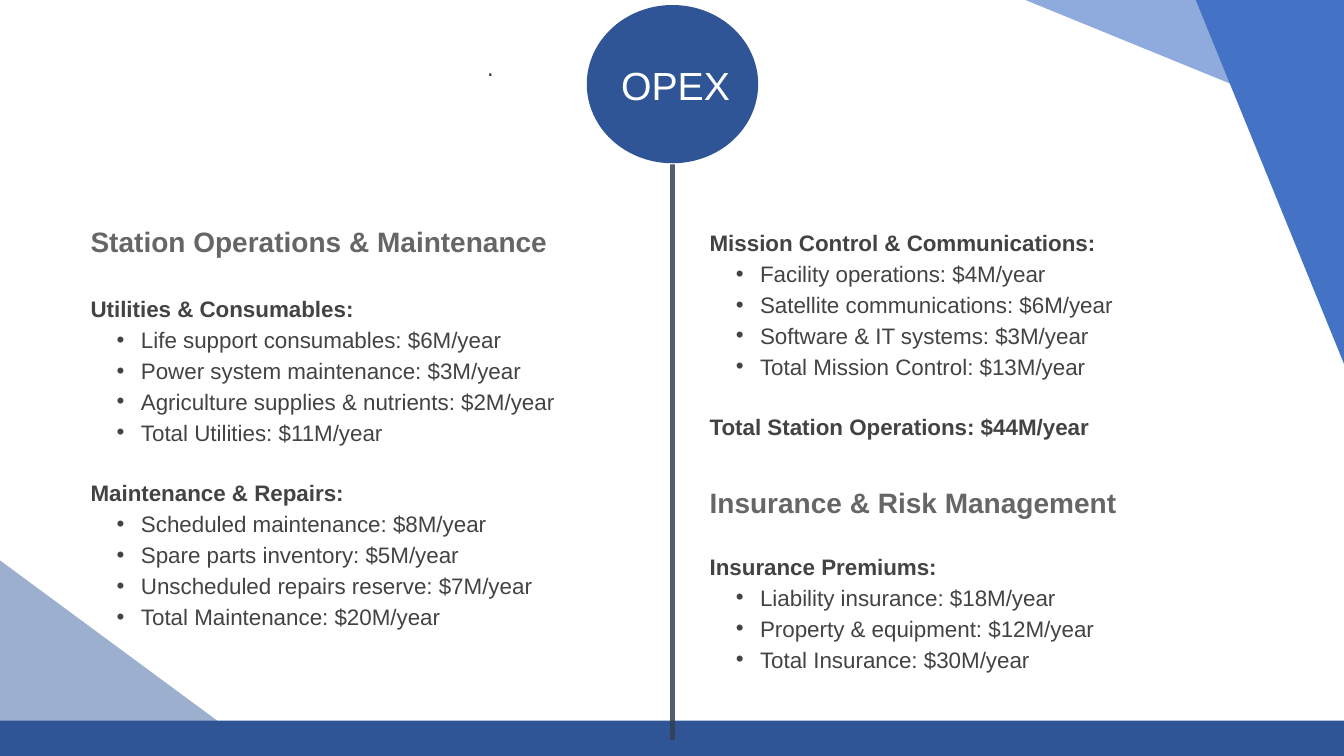
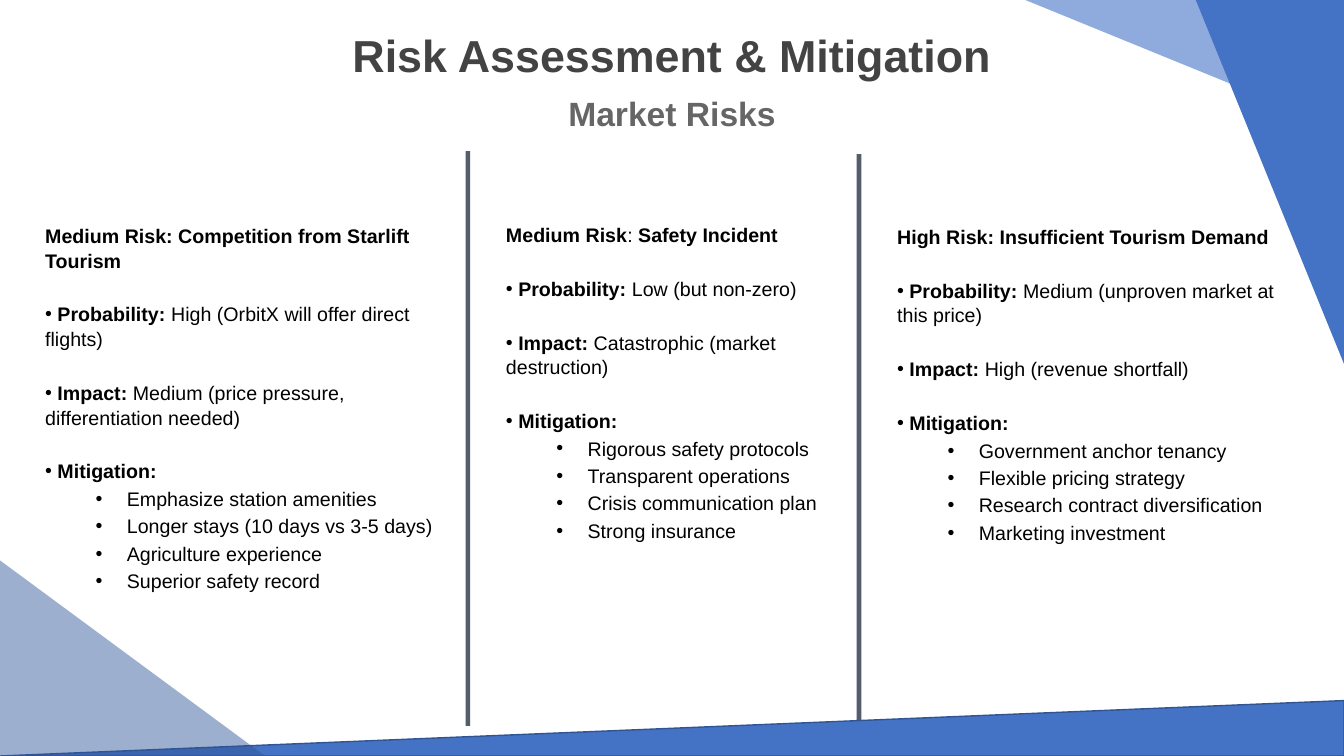
import pptx
import pptx.dml.color
import pptx.enum.shapes
import pptx.enum.text
import pptx.oxml
import pptx.oxml.ns
import pptx.util
from pptx.util import Inches

FONT = "Arial"
COLORS = {
    "navy": "2F5597",
    "blue": "4472C4",
    "sky": "8FAADC",
    "edge": "325491",
    "slate": "333F50",
    "heading": "434343",
    "muted": "666666",
    "black": "000000",
    "white": "FFFFFF",
}


def line_gap(size):
    """Space before, in points, that stands for one empty line of this size."""
    return 1.2 * size + 3


# "indent" is (left margin, first-line offset) in inches and adds a bullet
STYLES = {
    "section": {"size": 20, "color": "muted", "bold": True},
    "lead": {"size": 16, "color": "heading", "bold": True, "before": line_gap(18)},
    "group": {"size": 16, "color": "heading", "bold": True, "before": line_gap(16)},
    "cost": {"size": 16, "color": "heading", "bold": False, "indent": (0.5, -0.24)},
    "risk": {"size": 14, "color": "black", "bold": True},
    "fact": {"size": 14, "color": "black", "bold": True, "indent": (0, 0),
             "before": line_gap(14)},
    "action": {"size": 14, "color": "black", "bold": False, "indent": (0.81, -0.31)},
    "badge": {"size": 28, "color": "white", "bold": False, "align": "CENTER"},
    "title": {"size": 32, "color": "heading", "bold": True, "align": "CENTER"},
    "subtitle": {"size": 24, "color": "muted", "bold": True, "align": "CENTER"},
    "note": {"size": 18, "color": "heading", "bold": False},
}

STATION_COSTS = [
    ("section", "Station Operations & Maintenance"),
    ("lead", "Utilities & Consumables:"),
    ("cost", "Life support consumables: $6M/year"),
    ("cost", "Power system maintenance: $3M/year"),
    ("cost", "Agriculture supplies & nutrients: $2M/year"),
    ("cost", "Total Utilities: $11M/year"),
    ("group", "Maintenance & Repairs:"),
    ("cost", "Scheduled maintenance: $8M/year"),
    ("cost", "Spare parts inventory: $5M/year"),
    ("cost", "Unscheduled repairs reserve: $7M/year"),
    ("cost", "Total Maintenance: $20M/year"),
]
MISSION_COSTS = [
    ("group", "Mission Control & Communications:"),
    ("cost", "Facility operations: $4M/year"),
    ("cost", "Satellite communications: $6M/year"),
    ("cost", "Software & IT systems: $3M/year"),
    ("cost", "Total Mission Control: $13M/year"),
    ("group", "Total Station Operations: $44M/year"),
]
INSURANCE_COSTS = [
    ("section", "Insurance & Risk Management"),
    ("group", "Insurance Premiums:"),
    ("cost", "Liability insurance: $18M/year"),
    ("cost", "Property & equipment: $12M/year"),
    ("cost", "Total Insurance: $30M/year"),
]

# box, heading, probability, impact, mitigation
RISKS = [
    ((0.35, 2.16, 4.18, 3.68), "Medium Risk: Competition from Starlift Tourism",
     "High (OrbitX will offer direct flights)",
     "Medium (price pressure, differentiation needed)",
     ["Emphasize station amenities", "Longer stays (10 days vs 3-5 days)",
      "Agriculture experience", "Superior safety record"]),
    ((4.92, 2.15, 3.49, 3.21), "Medium Risk|: |Safety Incident",
     "Low (but non-zero)", "Catastrophic (market destruction)",
     ["Rigorous safety protocols", "Transparent operations",
      "Crisis communication plan", "Strong insurance"]),
    ((8.8, 2.17, 4.16, 3.21), "High Risk: Insufficient Tourism Demand",
     "Medium (unproven market at this price)", "High (revenue shortfall)",
     ["Government anchor tenancy", "Flexible pricing strategy",
      "Research contract diversification", "Marketing investment"]),
]


def rgb(name):
    return pptx.dml.color.RGBColor.from_string(COLORS[name])


def set_alpha(fill, percent):
    """Make the solid fill inside this XML element partly transparent."""
    color = fill.find(".//" + pptx.oxml.ns.qn("a:srgbClr"))
    alpha = color.makeelement(pptx.oxml.ns.qn("a:alpha"), {"val": str(percent * 1000)})
    color.append(alpha)


class Deck:
    def __init__(self):
        self.file = pptx.Presentation()
        self.file.slide_width = Inches(13.33)
        self.file.slide_height = Inches(7.5)
        self.slide = None

    def add_slide(self):
        self.slide = self.file.slides.add_slide(self.file.slide_layouts[5])

    def title(self, box, text, style):
        """Fill the title placeholder and bring it in front of what is drawn so far."""
        title = self.slide.shapes.title
        title.left, title.top, title.width, title.height = map(Inches, box)
        self.fill_text(title.text_frame, [(style, text)], "MIDDLE")
        title.element.getparent().append(title.element)

    def text(self, box, paragraphs):
        area = self.slide.shapes.add_textbox(*map(Inches, box))
        self.fill_text(area.text_frame, paragraphs, "TOP")

    def fill_text(self, frame, paragraphs, anchor):
        """Each paragraph is (style, text); "|" in the text toggles bold."""
        frame.word_wrap = True
        frame.auto_size = pptx.enum.text.MSO_AUTO_SIZE.NONE
        frame.vertical_anchor = getattr(pptx.enum.text.MSO_ANCHOR, anchor)
        for index, (style_name, text) in enumerate(paragraphs):
            style = STYLES[style_name]
            paragraph = frame.add_paragraph() if index else frame.paragraphs[0]
            if "indent" in style:
                self.bullet(paragraph, *style["indent"])
            layout = {
                "alignment": getattr(pptx.enum.text.PP_ALIGN, style.get("align", "LEFT")),
                "line_spacing": 1.05,
                "space_before": pptx.util.Pt(style.get("before", 1) if index else 0),
                "space_after": pptx.util.Pt(1),
            }
            for key, value in layout.items():
                setattr(paragraph, key, value)
            for part, words in enumerate(text.split("|")):
                run = paragraph.add_run()
                run.text = words
                look = {"name": FONT, "size": pptx.util.Pt(style["size"]),
                        "bold": style["bold"] != bool(part % 2)}
                for key, value in look.items():
                    setattr(run.font, key, value)
                run.font.color.rgb = rgb(style["color"])

    def bullet(self, paragraph, margin, offset):
        properties = paragraph._p.get_or_add_pPr()
        properties.set("marL", str(Inches(margin)))
        properties.set("indent", str(Inches(offset)))
        for tag, key, value in (("a:buFont", "typeface", FONT), ("a:buChar", "char", "•")):
            mark = properties.makeelement(pptx.oxml.ns.qn(tag), {key: value})
            properties.append(mark)

    def shape(self, kind, box, fill, edge=None, alpha=None):
        preset = getattr(pptx.enum.shapes.MSO_SHAPE, kind)
        shape = self.slide.shapes.add_shape(preset, *map(Inches, box))
        shape.shadow.inherit = False
        shape.fill.solid()
        shape.fill.fore_color.rgb = rgb(fill)
        if alpha:
            set_alpha(shape.element.spPr, alpha)
        if edge:
            shape.line.color.rgb = rgb(edge)
            shape.line.width = pptx.util.Pt(1)
        else:
            shape.line.fill.background()
        return shape

    def triangle(self, box, fill, apex, turn=0, **finish):
        """Apex is the place of the tip along the base, from 0 to 1."""
        triangle = self.shape("ISOSCELES_TRIANGLE", box, fill, **finish)
        triangle.adjustments[0] = apex
        triangle.rotation = turn

    def divider(self, x, top, bottom):
        line = self.slide.shapes.add_connector(
            pptx.enum.shapes.MSO_CONNECTOR.STRAIGHT,
            *map(Inches, (x, top, x, bottom)))
        line.line.color.rgb = rgb("slate")
        line.line.width = pptx.util.Pt(3.25)
        properties = line.element.spPr
        set_alpha(properties, 84)
        properties.append(properties.makeelement(pptx.oxml.ns.qn("a:effectLst"), {}))

    def corners(self):
        self.triangle((10.17, 0, 3.16, 1.29), "sky", 0, turn=180)
        self.triangle((11.86, 0, 1.47, 3.61), "blue", 0, turn=180)
        self.triangle((0, 5.56, 2.63, 1.94), "navy", 0, alpha=47)


def add_opex(deck):
    deck.add_slide()
    deck.shape("OVAL", (5.82, 0.05, 1.7, 1.57), "navy")
    deck.shape("RECTANGLE", (0, 7.15, 13.33, 0.35), "navy")
    deck.divider(6.67, 1.63, 7.34)
    deck.text((4.73, 0.45, 1, 0.4), [("note", ".")])
    deck.text((0.8, 2.16, 5.8, 4.3), STATION_COSTS)
    deck.text((6.94, 2.21, 5.5, 2.15), MISSION_COSTS)
    deck.text((6.94, 4.75, 5.5, 1.92), INSURANCE_COSTS)
    deck.title((5.9, 0.55, 1.6, 0.57), "OPEX", "badge")
    deck.corners()


def add_risks(deck):
    deck.add_slide()
    deck.title((3.33, 0.21, 6.67, 0.64), "Risk Assessment & Mitigation", "title")
    deck.text((3.33, 0.85, 6.67, 0.5), [("subtitle", "Market Risks")])
    for box, heading, probability, impact, actions in RISKS:
        deck.text(box, [
            ("risk", heading),
            ("fact", f" Probability: |{probability}"),
            ("fact", f" Impact: |{impact}"),
            ("fact", " Mitigation:"),
            *(("action", action) for action in actions),
        ])
    for x, top in ((4.64, 1.5), (8.52, 1.53)):
        deck.divider(x, top, 7.2)
    deck.triangle((0, 6.95, 13.33, 0.55), "blue", 1, edge="edge")
    deck.corners()


def main():
    deck = Deck()
    add_opex(deck)
    add_risks(deck)
    deck.file.save("out.pptx")


if __name__ == "__main__":
    main()
